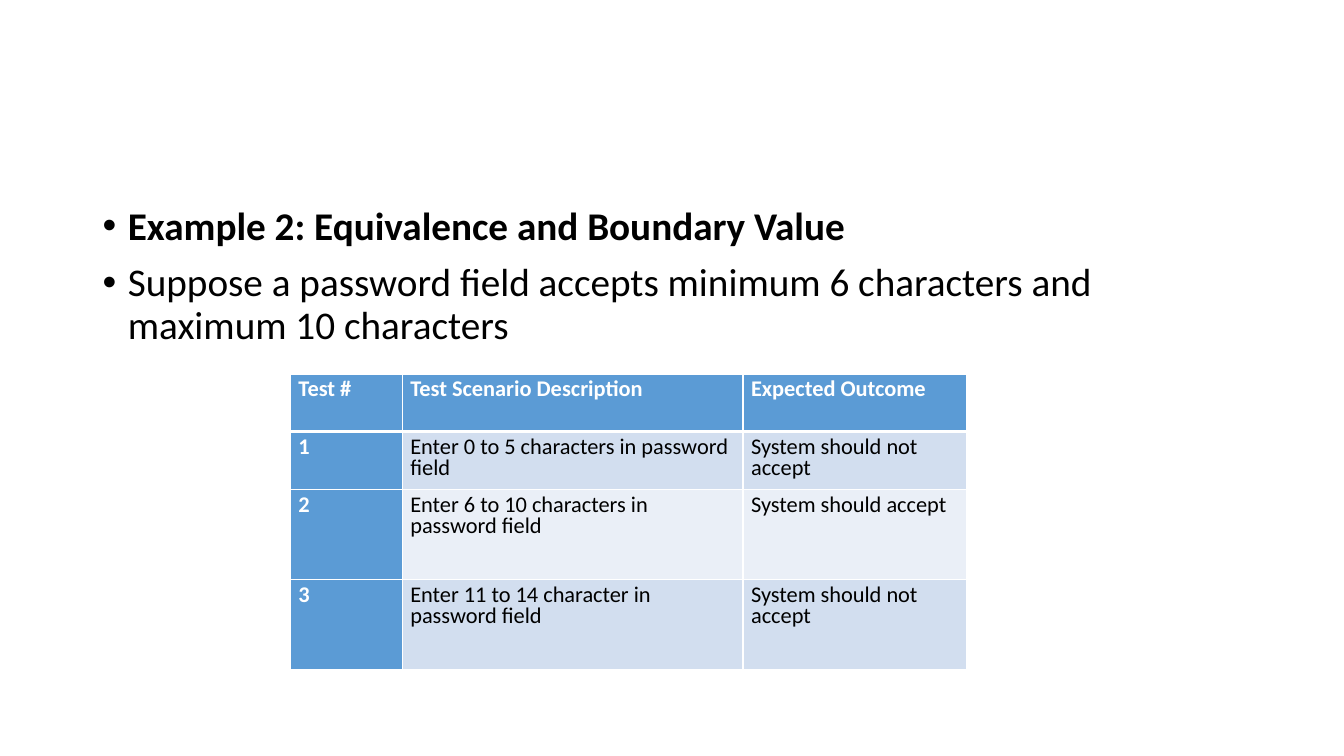
"""Build the equivalence and boundary value example slide."""
from lxml import etree
from pptx import Presentation
from pptx import util as u
from pptx.dml.color import RGBColor
from pptx.oxml import ns

COLOURS = {"text": "000000", "light": "FFFFFF", "accent": "5B9BD5",
           "band": "D2DEEF", "pale": "EAEFF7"}
STATEMENTS = [("Example 2: Equivalence and Boundary Value", True),
              ("Suppose a password field accepts minimum 6 characters "
               "and maximum 10 characters", False)]
SCENARIOS = [
    ("Test #", "Test Scenario Description", "Expected Outcome"),
    ("1", "Enter 0 to 5 characters in password field", "System should not accept"),
    ("2", "Enter 6 to 10 characters in password field", "System should accept"),
    ("3", "Enter 11 to 14 character in password field", "System should not accept"),
]
COLUMN_WIDTHS = (1.11, 3.38, 2.22)
ROW_HEIGHTS = (0.57, 0.57, 0.89, 0.89)


def assign(target, values):
    """Set each named attribute of the target."""
    for name, value in values.items():
        setattr(target, name, value)


def write(paragraph, wording, size, colour, bold, spacing):
    """Fill a paragraph with one formatted run."""
    run = paragraph.add_run()
    run.text = wording
    assign(run.font, {"name": "Calibri", "size": u.Pt(size), "bold": bold})
    run.font.color.rgb = RGBColor.from_string(COLOURS[colour])
    assign(paragraph, spacing)


def add_bullet(paragraph, indent):
    """Give a paragraph a hanging round bullet."""
    properties = paragraph._p.get_or_add_pPr()
    properties.set("marL", str(u.Inches(indent)))
    properties.set("indent", str(-u.Inches(indent)))
    etree.SubElement(properties, ns.qn("a:buFont")).set("typeface", "Arial")
    etree.SubElement(properties, ns.qn("a:buChar")).set("char", "\u2022")


def add_border(cell, side, points):
    """Draw one white edge of a cell."""
    edge = etree.Element(ns.qn(f"a:ln{side}"), w=str(u.Pt(points)))
    fill = etree.SubElement(edge, ns.qn("a:solidFill"))
    etree.SubElement(fill, ns.qn("a:srgbClr")).set("val", COLOURS["light"])
    return edge


def draw_statements(slide, left, top, width, height):
    """Place the bulleted example statements in the given box."""
    frame = slide.shapes.add_textbox(*map(u.Inches, (left, top, width, height))).text_frame
    frame.word_wrap = True
    for index, (wording, bold) in enumerate(STATEMENTS):
        statement = frame.add_paragraph() if index else frame.paragraphs[0]
        write(statement, wording, 28, "text", bold,
              {"line_spacing": 0.9, "space_before": u.Pt(10)})
        add_bullet(statement, 0.25)


def format_cell(cell, wording, row, column):
    """Write, fill and outline one scenario cell."""
    heading = row == 0 or column == 0
    assign(cell, {f"margin_{side}": u.Inches(0.08)
                  for side in ("left", "top", "right", "bottom")})
    write(cell.text_frame.paragraphs[0], wording, 16,
          "light" if heading else "text", heading,
          {"line_spacing": u.Pt(15), "space_after": u.Pt(15)})
    shade = "accent" if heading else "band" if row % 2 else "pale"
    edges = {"L": 1, "R": 1, "T": 3 if row == 1 else 1, "B": 3 if row == 0 else 1}
    properties = cell._tc.get_or_add_tcPr()
    for side, points in edges.items():
        properties.append(add_border(cell, side, points))
    cell.fill.solid()
    cell.fill.fore_color.rgb = RGBColor.from_string(COLOURS[shade])


def draw_scenarios(slide, left, top, width, height):
    """Place the test scenario table in the given box."""
    table = slide.shapes.add_table(len(SCENARIOS), len(COLUMN_WIDTHS),
                                   *map(u.Inches, (left, top, width, height))).table
    for column, share in zip(table.columns, COLUMN_WIDTHS):
        column.width = u.Inches(width * share / sum(COLUMN_WIDTHS))
    for row, share in zip(table.rows, ROW_HEIGHTS):
        row.height = u.Inches(height * share / sum(ROW_HEIGHTS))
    for row, scenario in enumerate(SCENARIOS):
        for column, wording in enumerate(scenario):
            format_cell(table.cell(row, column), wording, row, column)


def main():
    """Build and save the slide."""
    deck = Presentation()
    assign(deck, {"slide_width": u.Inches(13.33), "slide_height": u.Inches(7.5)})
    slide = deck.slides.add_slide(deck.slide_layouts[6])
    draw_statements(slide, 0.92, 2, 11.5, 4.76)
    draw_scenarios(slide, 2.88, 3.71, 6.71, 2.93)
    deck.save("out.pptx")


main()
